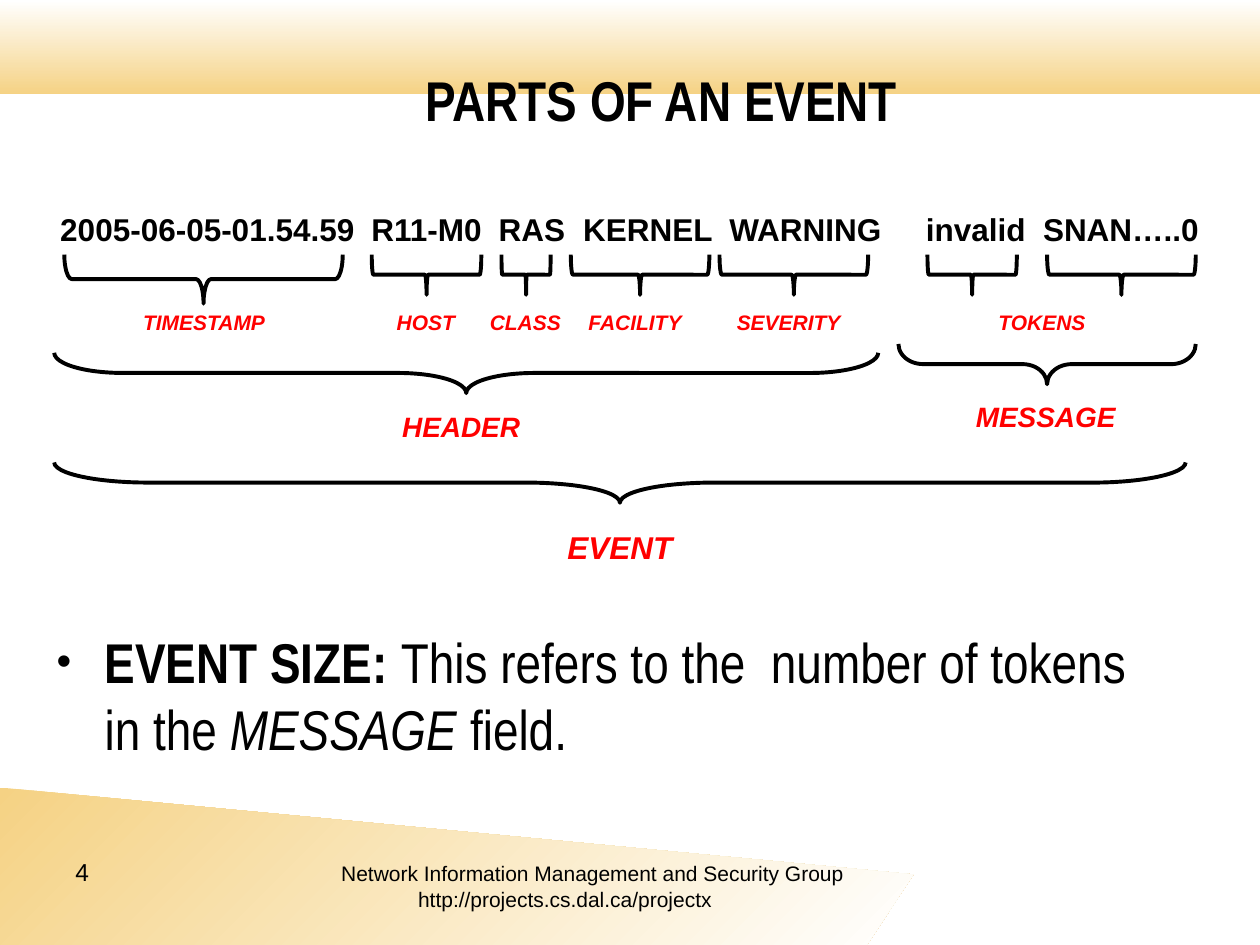
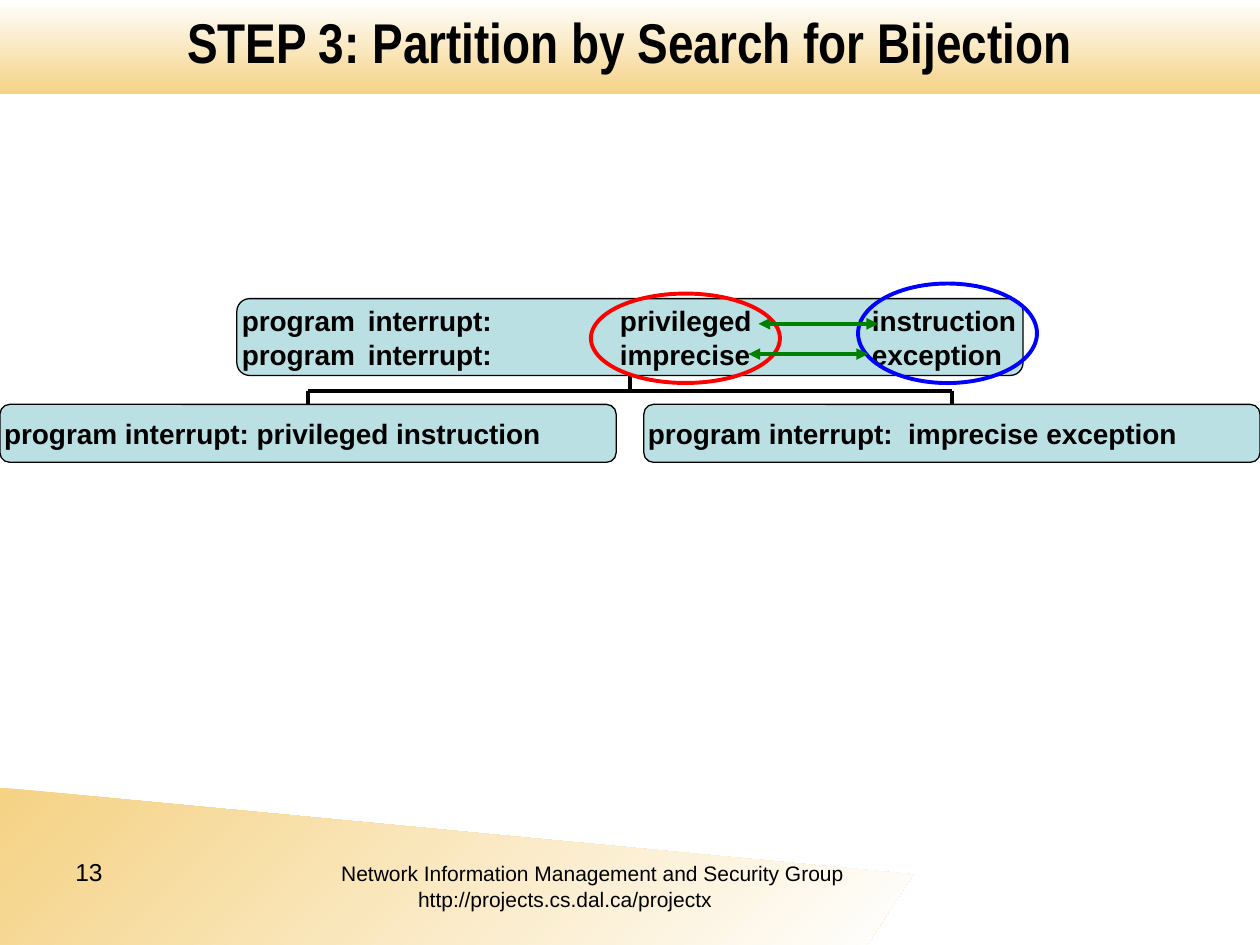
from lxml import etree
from pptx import Presentation
from pptx import util as u
from pptx.dml.color import RGBColor
from pptx.enum import shapes, text
from pptx.oxml import ns

BLACK = RGBColor(0, 0, 0)
WHITE = RGBColor(255, 255, 255)
GOLD = RGBColor(0xF5, 0xD2, 0x84)
RED = RGBColor(255, 0, 0)
BLUE = RGBColor(0, 0, 255)
GREEN = RGBColor(0, 0x80, 0)
TEAL = RGBColor(0xBB, 0xE0, 0xE3)
SANS = "Arial"
NARROW = "Arial Narrow"
KIND = shapes.MSO_SHAPE
ALIGN = text.PP_ALIGN
ANCHOR = text.MSO_ANCHOR

WORDS = ["2005-06-05-01.54.59", "R11-M0", "RAS", "KERNEL", "WARNING", "invalid", "SNAN…..0"]
STOPS = [2.47, 3.48, 4.15, 5.31, 6.87, 7.8]
FIELDS = [(2.57, 3.44), (3.6, 3.99), (4.15, 5.25), (5.33, 6.51), (6.98, 7.69), (7.93, 9.11)]
GROUPS = [(0.05, 6.59, 1.18), (6.75, 9.11, 1.11), (0.05, 9.03, 2.05)]
LABELS = [
    ("TIMESTAMP", 1.24, 0.79, 12), ("HOST", 3, 0.79, 12), ("CLASS", 3.79, 0.79, 12),
    ("FACILITY", 4.66, 0.79, 12), ("SEVERITY", 5.88, 0.79, 12), ("TOKENS", 7.89, 0.79, 12),
    ("HEADER", 3.28, 1.58, 16), ("MESSAGE", 7.92, 1.5, 16), ("EVENT", 4.54, 2.52, 18),
]


def inch(*nums):
    return [u.Inches(n) for n in nums]


def tabs(para, stops):
    props = para._p.get_or_add_pPr()
    group = etree.SubElement(props, ns.qn("a:tabLst"))
    for stop in stops:
        etree.SubElement(group, ns.qn("a:tab"), pos=str(u.Inches(stop)), algn="l")


def write(para, words, size, color=BLACK, bold=False, slant=False, face=SANS):
    run = para.add_run()
    run.text = words
    font = run.font
    font.name, font.size = face, u.Pt(size)
    font.bold, font.italic = bold, slant
    font.color.rgb = color


def label(slide, box, words, size, color=BLACK, slant=False, stops=()):
    frame = slide.shapes.add_textbox(*inch(*box)).text_frame
    frame.word_wrap = True
    para = frame.paragraphs[0]
    para.alignment = ALIGN.LEFT if stops else ALIGN.CENTER
    tabs(para, stops)
    write(para, words, size, color, True, slant)


def figure(slide, kind, box, fill=None, line=BLACK, width=2.25):
    shape = slide.shapes.add_shape(kind, *inch(*box))
    shape.shadow.inherit = False
    if fill is None:
        shape.fill.background()
    else:
        shape.fill.solid()
        shape.fill.fore_color.rgb = fill
    shape.line.color.rgb = line
    shape.line.width = u.Pt(width)
    return shape


def rule(slide, start, end, color=BLACK, arrow=False):
    line = slide.shapes.add_connector(shapes.MSO_CONNECTOR.STRAIGHT, *inch(*start, *end))
    line.line.color.rgb = color
    line.line.width = u.Pt(2.25)
    if arrow:
        stroke = line.line._get_or_add_ln()
        for side in ("a:headEnd", "a:tailEnd"):
            etree.SubElement(stroke, ns.qn(side), type="triangle")
    etree.SubElement(line._element.spPr, ns.qn("a:effectLst"))


def brace(slide, left, right, top, depth=0.32, curve=0.015):
    span = right - left
    mid = (left + right) / 2
    box = (mid - depth / 2, top + depth / 2 - span / 2, depth, span)
    shape = figure(slide, KIND.RIGHT_BRACE, box)
    shape.rotation = 90
    shape.adjustments[0] = curve * span / depth


def blend(shape, first, last, angle):
    shape.shadow.inherit = False
    shape.line.fill.background()
    shape.fill.gradient()
    shape.fill.gradient_angle = angle
    for stop, color in zip(shape.fill.gradient_stops, (first, last)):
        stop.color.rgb = color
        stop.position = 0 if color == first else 1


def master(deck, slide):
    band = slide.shapes.add_shape(KIND.RECTANGLE, *inch(0, 0, 10, 0.75))
    blend(band, WHITE, GOLD, 270)
    path = slide.shapes.build_freeform(*inch(0, 7.5))
    path.add_line_segments([inch(0, 6.25), inch(7.25, 6.94), inch(6.88, 7.5)], close=True)
    wedge = path.convert_to_shape()
    blend(wedge, GOLD, WHITE, 315)
    tree = deck.slide_master.shapes.element
    for shape in (band, wedge):
        tree.insert(2, shape._element)


def footer(slide, box, number):
    frame = slide.shapes.add_textbox(*inch(*box)).text_frame
    frame.word_wrap = True
    first, second = frame.paragraphs[0], frame.add_paragraph()
    tabs(first, [2.11])
    write(first, number, 14)
    write(first, "\tNetwork Information Management and Security Group", 12)
    tabs(second, [2.72])
    write(second, "\thttp://projects.cs.dal.ca/projectx", 12)


def place(shape, box):
    shape.left, shape.top, shape.width, shape.height = inch(*box)
    shape.text_frame.auto_size = text.MSO_AUTO_SIZE.NONE
    return shape.text_frame


def start(deck, layout, title, box, number):
    slide = deck.slides.add_slide(deck.slide_layouts[layout])
    frame = place(slide.shapes.title, box)
    frame.vertical_anchor = ANCHOR.MIDDLE
    para = frame.paragraphs[0]
    para.alignment = ALIGN.CENTER
    write(para, title, 32, bold=True, face=NARROW)
    footer(slide, (0.5, 6.75, 6.86, 0.52), number)
    return slide


def event(slide, left, top):
    label(slide, (left, top, 9.4, 0.4), "\t".join(WORDS), 18, stops=STOPS)
    brace(slide, left + 0.13, left + 2.34, top + 0.4, 0.39, 0.027)
    for begin, end in FIELDS:
        brace(slide, left + begin, left + end, top + 0.4)
    for begin, end, drop in GROUPS:
        brace(slide, left + begin, left + end, top + drop, curve=0.083)
    for words, mid, drop, size in LABELS:
        box = (left + mid - 1, top + drop, 2, 0.4)
        label(slide, box, words, size, RED, True)


def body(slide, box):
    para = place(slide.placeholders[1], box).paragraphs[0]
    props = para._p.get_or_add_pPr()
    props.set("marL", str(u.Inches(0.38)))
    props.set("indent", str(-u.Inches(0.38)))
    etree.SubElement(props, ns.qn("a:buSzPct"), val="75000")
    etree.SubElement(props, ns.qn("a:buChar"), char="•")
    para.space_before = u.Pt(0)
    write(para, "EVENT SIZE: ", 32, bold=True, face=NARROW)
    write(para, "This refers to the  number of tokens in the ", 32, face=NARROW)
    write(para, "MESSAGE", 32, slant=True, face=NARROW)
    write(para, " field.", 32, face=NARROW)


def node(slide, box, lines, stops=()):
    shape = figure(slide, KIND.ROUNDED_RECTANGLE, box, TEAL, width=0.75)
    frame = shape.text_frame
    frame.word_wrap = True
    frame.vertical_anchor = ANCHOR.MIDDLE
    frame.margin_left = frame.margin_right = u.Inches(0.01)
    frame.margin_top = frame.margin_bottom = 0
    for index, words in enumerate(lines):
        para = frame.add_paragraph() if index else frame.paragraphs[0]
        para.alignment = ALIGN.LEFT
        tabs(para, stops)
        write(para, words, 16, bold=True)


def split(slide, left, top, width):
    mid, wide, gap = left + width / 2, 4.89, 0.73
    low = top + 0.84
    rule(slide, (mid, top + 0.61), (mid, top + gap))
    rule(slide, (left + wide / 2, top + gap), (left + width - wide / 2, top + gap))
    leaves = [
        (left, "program interrupt: privileged instruction"),
        (left + width - wide, "program interrupt:  imprecise exception"),
    ]
    for edge, words in leaves:
        rule(slide, (edge + wide / 2, top + gap), (edge + wide / 2, low))
        node(slide, (edge, low, wide, 0.46), [words])
    pair = ["program\tinterrupt:\tprivileged\tinstruction",
            "program\tinterrupt:\timprecise\texception"]
    node(slide, (mid - 3.12, top, 6.24, 0.61), pair, [1, 3, 5])
    figure(slide, KIND.OVAL, (mid - 0.31, top - 0.04, 1.5, 0.71), line=RED)
    figure(slide, KIND.OVAL, (mid + 1.81, top - 0.12, 1.42, 0.79), line=BLUE)
    for shift, drop in ((1.02, 0.2), (0.94, 0.44)):
        rule(slide, (mid + shift, top + drop), (mid + shift + 0.95, top + drop), GREEN, True)


def main():
    deck = Presentation()
    deck.slide_width, deck.slide_height = inch(10, 7.5)
    parts = start(deck, 1, "PARTS OF AN EVENT", (0.75, 0.54, 9, 0.5), "4")
    master(deck, parts)
    event(parts, 0.38, 1.62)
    body(parts, (0.35, 4.93, 9, 1.22))
    step = start(deck, 5, "STEP 3: Partition by Search for Bijection", (0.5, 0, 9, 0.66), "13")
    split(step, 0, 2.37, 10)
    deck.save("out.pptx")


if __name__ == "__main__":
    main()
